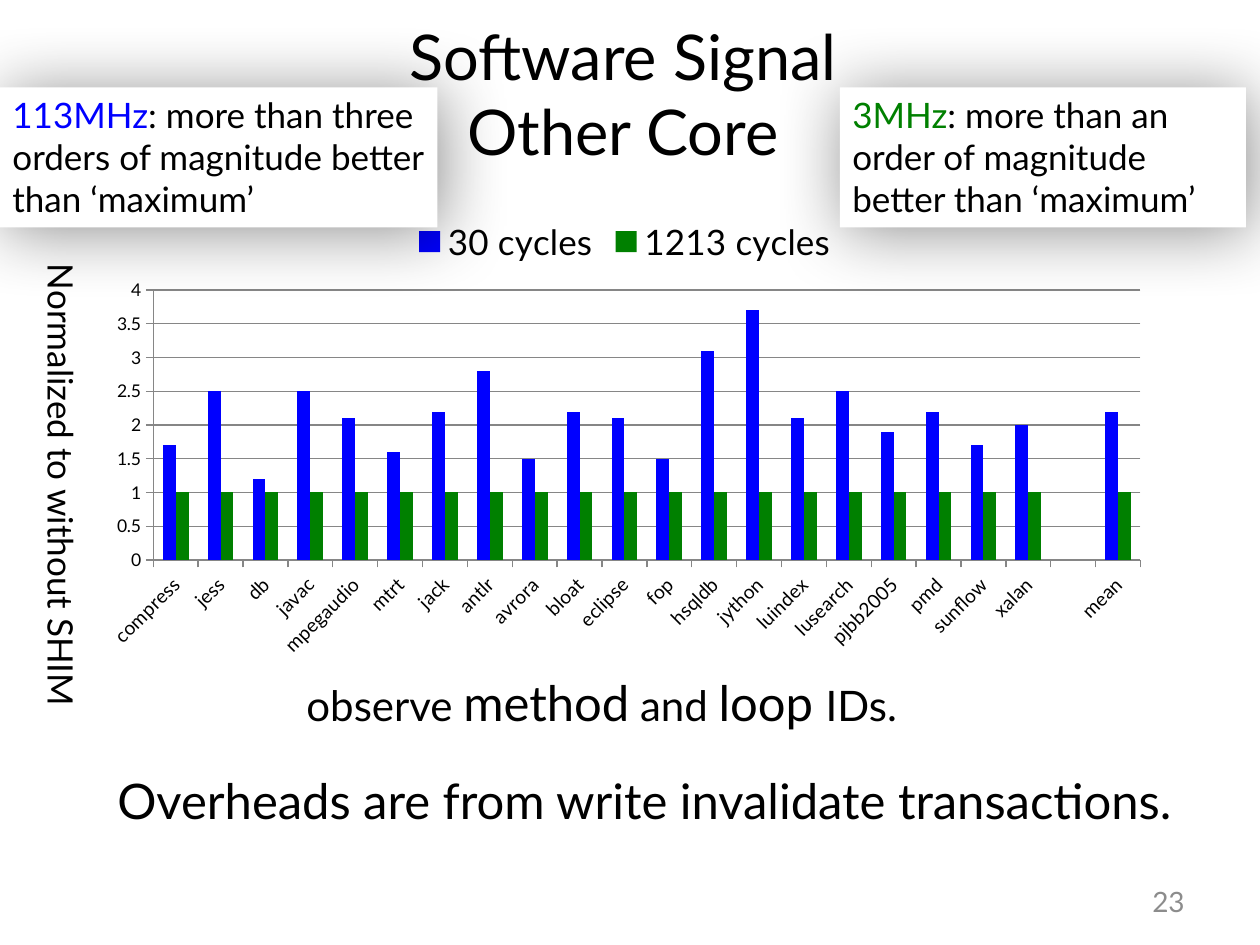
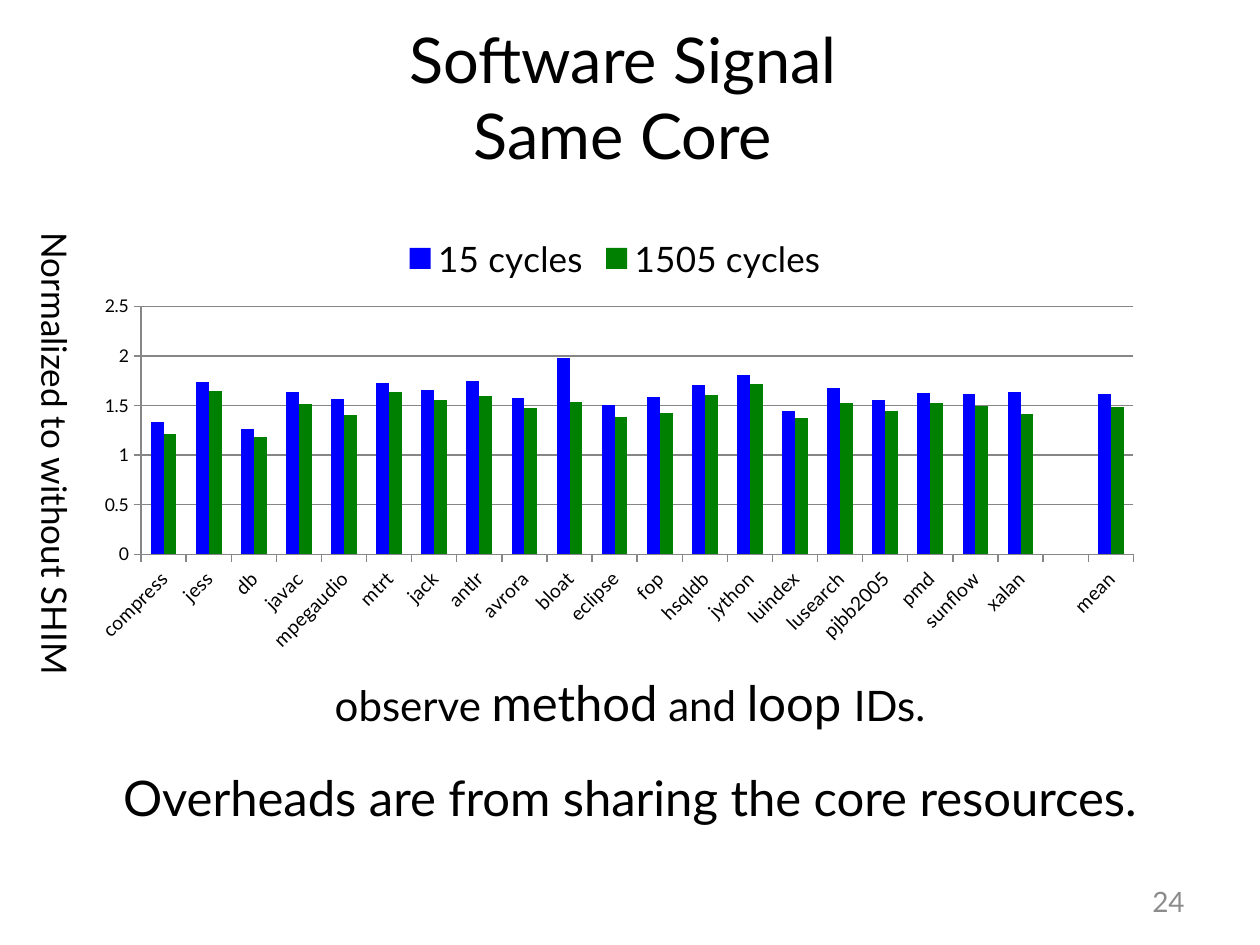
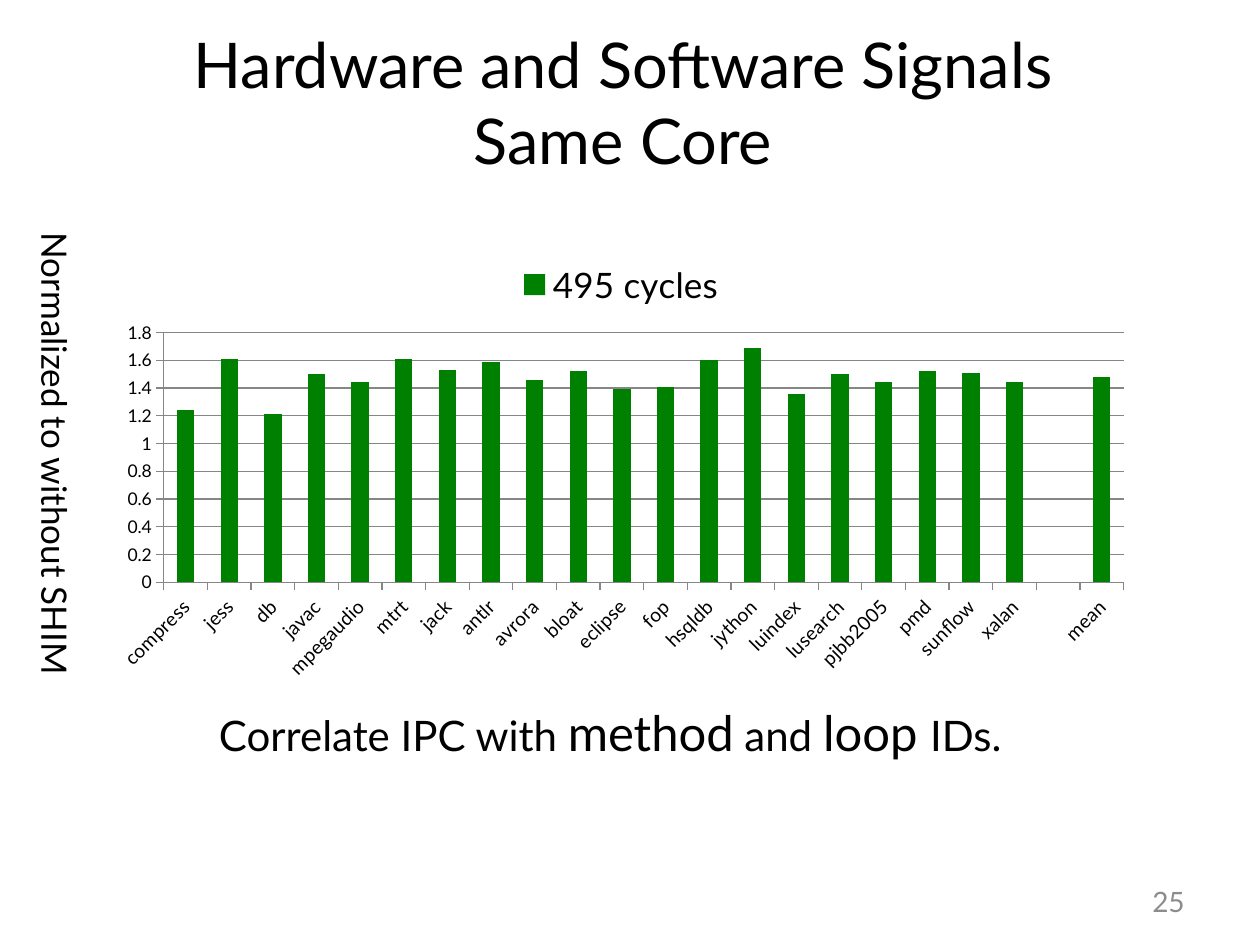
import pptx
import pptx.chart.data
import pptx.dml.color
import pptx.enum.chart
import pptx.enum.text
import pptx.oxml
import pptx.oxml.ns
import pptx.util

Pt = pptx.util.Pt
RGBColor = pptx.dml.color.RGBColor
Align = pptx.enum.text.PP_ALIGN
Anchor = pptx.enum.text.MSO_ANCHOR

FONT = "Lato"
BLACK = RGBColor(0x00, 0x00, 0x00)
WHITE = RGBColor(0xFF, 0xFF, 0xFF)
BLUE = RGBColor(0x00, 0x00, 0xFF)
GREEN = RGBColor(0x00, 0x80, 0x00)
NUMBER_GREY = RGBColor(0x8C, 0x8C, 0x8C)
AXIS_GREY = RGBColor(0x86, 0x86, 0x86)

BENCHMARKS = ["compress", "jess", "db", "javac", "mpegaudio", "mtrt", "jack",
              "antlr", "avrora", "bloat", "eclipse", "fop", "hsqldb", "jython",
              "luindex", "lusearch", "pjbb2005", "pmd", "sunflow", "xalan",
              "", "mean"]
IDS_RUNS = [("method", 28), (" and ", 24), ("loop ", 28), ("IDs.", 24)]
OBSERVE_RUNS = [("observe ", 24)] + IDS_RUNS
CORRELATE_RUNS = [("Correlate IPC with ", 24)] + IDS_RUNS

SHADOW_XML = (
    f'<a:outerShdw {pptx.oxml.ns.nsdecls("a")} blurRad="{Pt(40)}" '
    f'dist="{Pt(3)}" dir="2700000" algn="tl" rotWithShape="0">'
    '<a:srgbClr val="000000"><a:alpha val="43000"/></a:srgbClr></a:outerShdw>')


def style_font(font, size, color=BLACK):
    font.name = FONT
    font.size = Pt(size)
    font.color.rgb = color


def place(shape, box):
    shape.left, shape.top, shape.width, shape.height = map(Pt, box)


def add_text(slide, box, runs, align=Align.LEFT):
    """Add a text box whose runs are (text, size[, color]) tuples."""
    label = slide.shapes.add_textbox(*map(Pt, box))
    label.text_frame.word_wrap = True
    line = label.text_frame.paragraphs[0]
    line.alignment = align
    for text, *style in runs:
        run = line.add_run()
        run.text = text
        style_font(run.font, *style)
    return label


def add_title(slide, top, lines):
    title = slide.shapes.title
    place(title, (32, top, 648, 58))
    frame = title.text_frame
    frame.text = "\v".join(lines)
    frame.auto_size = pptx.enum.text.MSO_AUTO_SIZE.NONE
    frame.vertical_anchor = Anchor.MIDDLE
    frame.paragraphs[0].alignment = Align.CENTER
    for run in frame.paragraphs[0].runs:
        style_font(run.font, 36)


def add_page_number(slide, number):
    page = add_text(slide, (516, 500.5, 168, 28.75),
                    [(str(number), 16, NUMBER_GREY)], Align.RIGHT)
    page.text_frame.vertical_anchor = Anchor.MIDDLE


def add_overhead_chart(slide, box, series):
    """Add clustered columns; series holds (name, color, values)."""
    data = pptx.chart.data.CategoryChartData()
    data.categories = BENCHMARKS
    for name, _, (*values, mean) in series:
        data.add_series(name, [*values, None, mean])
    chart = slide.shapes.add_chart(
        pptx.enum.chart.XL_CHART_TYPE.COLUMN_CLUSTERED,
        *map(Pt, box), data).chart
    style_font(chart.font, 10)
    chart.has_title = False

    # Legend above the columns
    chart.has_legend = True
    chart.legend.position = pptx.enum.chart.XL_LEGEND_POSITION.TOP
    chart.legend.include_in_layout = False
    style_font(chart.legend.font, 20)

    # Columns
    plot = chart.plots[0]
    plot.gap_width = 150
    plot.vary_by_categories = False
    for columns, (_, color, _) in zip(plot.series, series):
        columns.format.fill.solid()
        columns.format.fill.fore_color.rgb = color
        columns.invert_if_negative = False

    # Axes, with slanted benchmark names
    gridlines = chart.value_axis.major_gridlines
    for part in (chart.category_axis, chart.value_axis, gridlines):
        part.format.line.color.rgb = AXIS_GREY
        part.format.line.width = Pt(0.75)
    for axis in (chart.category_axis, chart.value_axis):
        axis.major_tick_mark = pptx.enum.chart.XL_TICK_MARK.OUTSIDE
    style_font(chart.category_axis.tick_labels.font, 11)
    for body in chart.element.xpath(".//c:catAx/c:txPr/a:bodyPr"):
        body.set("rot", "-2700000")
        body.set("vert", "horz")


def add_axis_caption(slide, left, top):
    caption = add_text(slide, (left, top, 334, 31.5),
                       [("Normalized to without SHIM", 20)])
    caption.rotation = 90


def add_callout(slide, box, rate, color, claim):
    callout = add_text(slide, box, [(rate, 20, color), (claim, 20)])
    callout.fill.solid()
    callout.fill.fore_color.rgb = WHITE
    callout.shadow.inherit = False
    effects = callout.element.spPr.find(pptx.oxml.ns.qn("a:effectLst"))
    effects.append(pptx.oxml.parse_xml(SHADOW_XML))


def add_signal_slide(deck, number, title_top, title_lines, chart_box, series,
                     caption_at):
    """Build the parts that every result slide has."""
    slide = deck.slides.add_slide(deck.slide_layouts[5])
    add_title(slide, title_top, title_lines)
    add_page_number(slide, number)
    add_overhead_chart(slide, chart_box, series)
    add_axis_caption(slide, *caption_at)
    return slide


def build_other_core(deck):
    series = [
        ("30 cycles", BLUE,
         [1.7, 2.5, 1.2, 2.5, 2.1, 1.6, 2.2, 2.8, 1.5, 2.2, 2.1, 1.5, 3.1,
          3.7, 2.1, 2.5, 1.9, 2.2, 1.7, 2, 2.2]),
        ("1213 cycles", GREEN, [1] * 21),
    ]
    slide = add_signal_slide(
        deck, 23, 24, ["Software Signal", "Other Core"],
        (50, 116.5, 614, 264), series, (-132, 295))
    add_text(slide, (168, 381, 420, 41), OBSERVE_RUNS)
    add_text(slide, (60, 437, 660, 41),
             [("Overheads are from write invalidate transactions.", 28)])
    add_callout(slide, (480, 50, 232, 80), "3MHz", GREEN,
                ": more than an order of magnitude better than ‘maximum’")
    add_callout(slide, (0, 50, 250, 80), "113MHz", BLUE,
                ": more than three orders of magnitude better than ‘maximum’")


def build_same_core(deck):
    series = [
        ("15 cycles", BLUE,
         [1.33, 1.74, 1.26, 1.64, 1.57, 1.73, 1.66, 1.75, 1.58, 1.98, 1.5,
          1.59, 1.71, 1.81, 1.44, 1.68, 1.56, 1.63, 1.62, 1.64, 1.62]),
        ("1505 cycles", GREEN,
         [1.21, 1.65, 1.18, 1.51, 1.4, 1.64, 1.56, 1.6, 1.47, 1.54, 1.38,
          1.42, 1.61, 1.72, 1.37, 1.52, 1.44, 1.52, 1.49, 1.41, 1.48]),
    ]
    slide = add_signal_slide(
        deck, 24, 26, ["Software Signal", "Same Core"],
        (43, 126, 617, 251), series, (-135.5, 277))
    add_text(slide, (40, 435, 640, 41),
             [("Overheads are from sharing the core resources.", 28)],
             Align.CENTER)
    add_text(slide, (150, 381, 420, 41), OBSERVE_RUNS, Align.CENTER)


def build_hardware_and_software(deck):
    series = [
        ("495 cycles", GREEN,
         [1.24, 1.61, 1.21, 1.5, 1.44, 1.61, 1.53, 1.59, 1.46, 1.52, 1.39,
          1.41, 1.6, 1.69, 1.36, 1.5, 1.44, 1.52, 1.51, 1.44, 1.48]),
    ]
    slide = add_signal_slide(
        deck, 25, 29, ["Hardware and Software Signals", "Same Core"],
        (56, 141, 598, 252), series, (-135.5, 277))
    add_text(slide, (118, 398, 521, 41), CORRELATE_RUNS)


def main():
    deck = pptx.Presentation()
    deck.slide_width, deck.slide_height = Pt(720), Pt(540)
    build_other_core(deck)
    build_same_core(deck)
    build_hardware_and_software(deck)
    deck.save("out.pptx")


if __name__ == "__main__":
    main()
